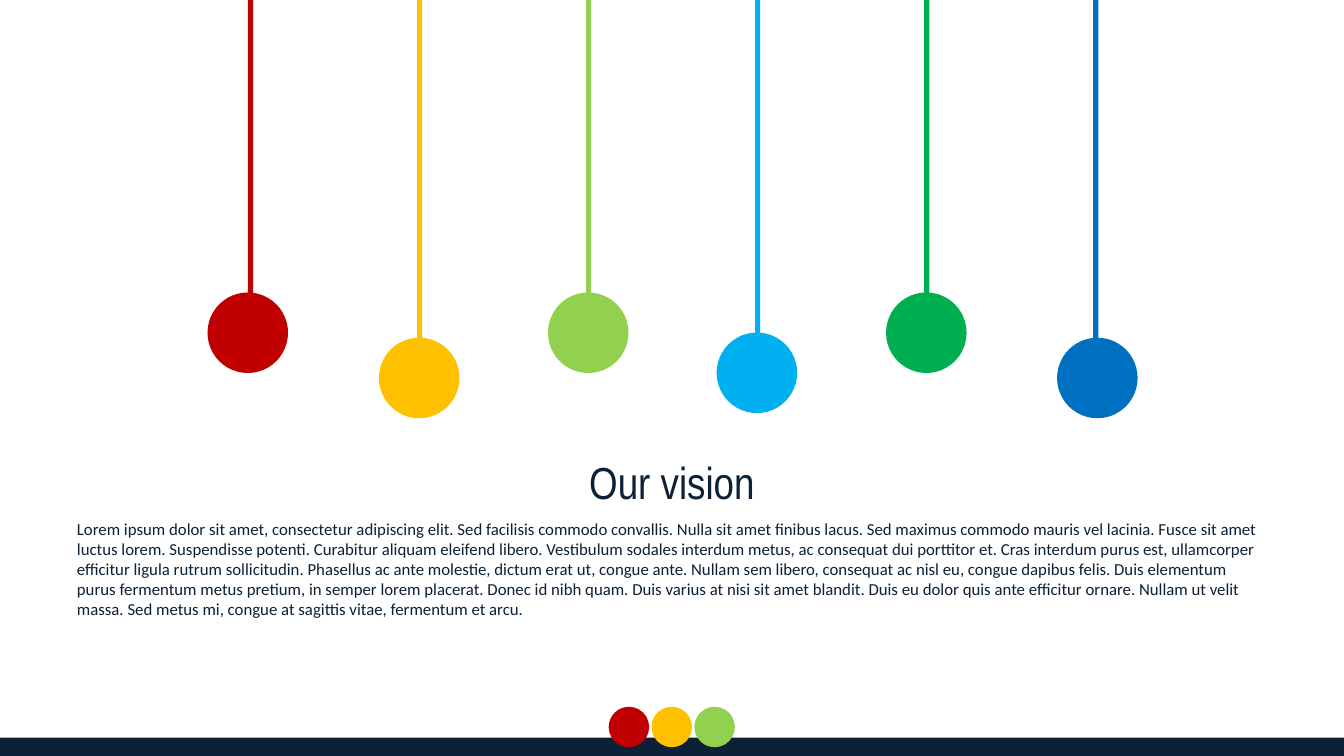
import pptx
import pptx.util
import pptx.dml.color
import pptx.enum.shapes
import pptx.enum.text

Cm = pptx.util.Cm
KIND = pptx.enum.shapes.MSO_SHAPE
ALIGN = pptx.enum.text.PP_ALIGN
NAVY = "0C2036"
WIDE = 33.87

deck = pptx.Presentation()
deck.slide_width, deck.slide_height = Cm(WIDE), Cm(19.05)
slide = deck.slides.add_slide(deck.slide_layouts[5])


def draw(kind, left, top, width, height, color):
    shape = slide.shapes.add_shape(kind, Cm(left), Cm(top), Cm(width), Cm(height))
    shape.shadow.inherit = False
    shape.fill.solid()
    shape.fill.fore_color.rgb = pptx.dml.color.RGBColor.from_string(color)
    shape.line.fill.background()


def write(box, text, size, font, align=ALIGN.LEFT, color=NAVY):
    frame = box.text_frame
    frame.word_wrap = True
    frame.auto_size = pptx.enum.text.MSO_AUTO_SIZE.NONE
    frame.vertical_anchor = pptx.enum.text.MSO_ANCHOR.TOP
    para = frame.paragraphs[0]
    para.alignment = align
    run = para.add_run()
    run.text = text
    run.font.size = pptx.util.Pt(size)
    run.font.name = font
    run.font.color.rgb = pptx.dml.color.RGBColor.from_string(color)


draw(KIND.RECTANGLE, 0, 18.59, WIDE, 0.46, NAVY)
for i, color in enumerate(["C00000", "FFC000", "92D050"]):
    draw(KIND.OVAL, 15.34 + 1.08 * i, 17.81, 1.02, 1.02, color)

balls = [
    ("C00000", 5.23, 7.37),
    ("FFC000", 9.55, 8.51),
    ("92D050", 13.81, 7.37),
    ("00B0F0", 18.06, 8.38),
    ("00B050", 22.33, 7.37),
    ("0070C0", 26.64, 8.51),
]
for i, (color, left, top) in enumerate(balls):
    draw(KIND.RECTANGLE, 6.25 + 4.26 * i, 0, 0.13, 9.91 if i % 2 else 8.38, color)
    draw(KIND.OVAL, left, top, 2.03, 2.03, color)

title = slide.shapes.title
title.left, title.top, title.width, title.height = Cm(0), Cm(11.33), Cm(WIDE), Cm(1.62)
write(title, "Our vision", 32, "Arial Narrow", align=ALIGN.CENTER)

body = slide.shapes.add_textbox(Cm(1.69), Cm(12.94), Cm(30.48), Cm(2.82))
write(
    body,
    "Lorem ipsum dolor sit amet, consectetur adipiscing elit. Sed facilisis commodo convallis. "
    "Nulla sit amet finibus lacus. Sed maximus commodo mauris vel lacinia. Fusce sit amet luctus lorem. "
    "Suspendisse potenti. Curabitur aliquam eleifend libero. Vestibulum sodales interdum metus, "
    "ac consequat dui porttitor et. Cras interdum purus est, ullamcorper efficitur ligula rutrum "
    "sollicitudin. Phasellus ac ante molestie, dictum erat ut, congue ante. Nullam sem libero, "
    "consequat ac nisl eu, congue dapibus felis. Duis elementum purus fermentum metus pretium, "
    "in semper lorem placerat. Donec id nibh quam. Duis varius at nisi sit amet blandit. "
    "Duis eu dolor quis ante efficitur ornare. Nullam ut velit massa. Sed metus mi, "
    "congue at sagittis vitae, fermentum et arcu.",
    12,
    "Calibri",
)

deck.save("out.pptx")
